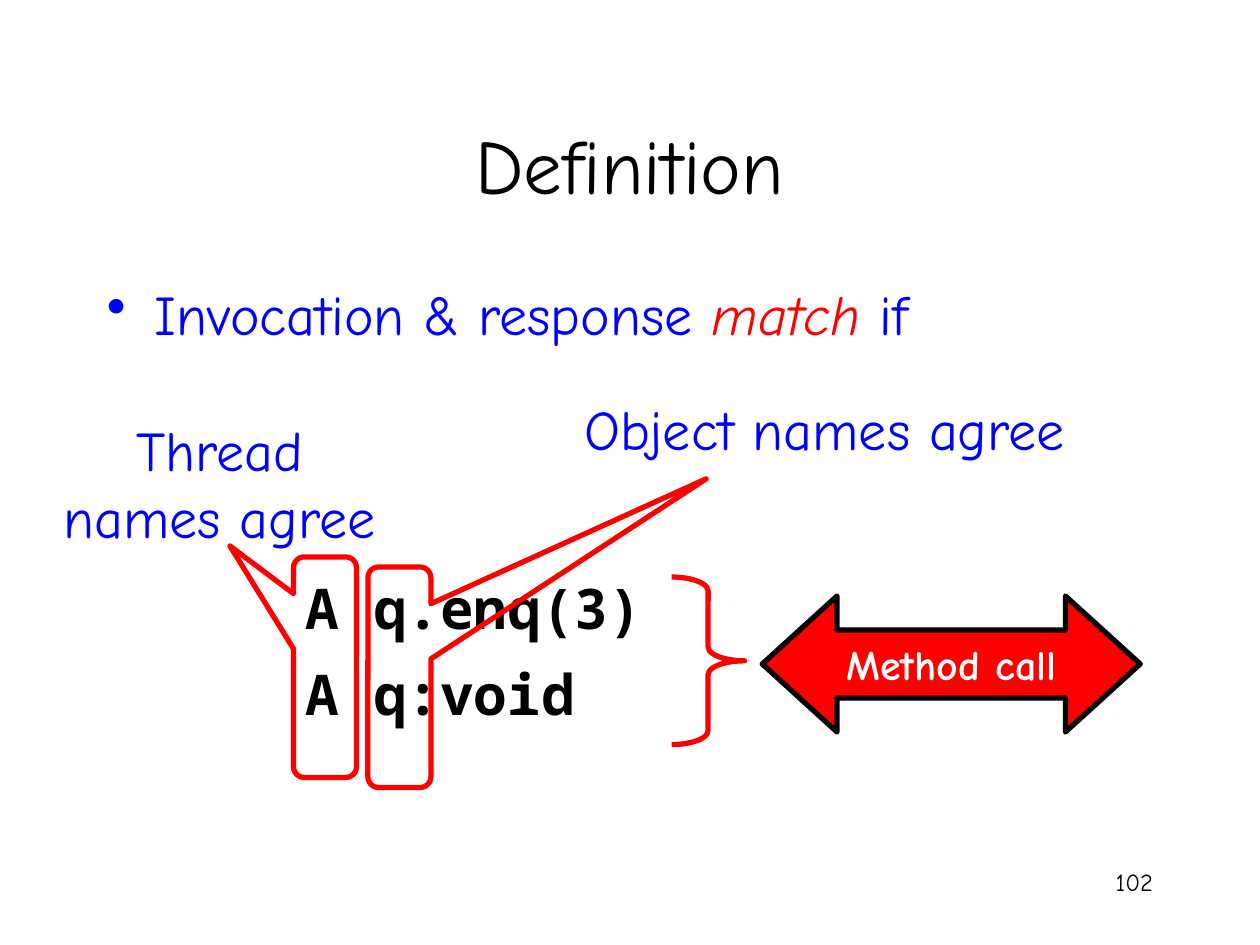
from dataclasses import dataclass

import pptx
import pptx.dml.color
import pptx.enum.shapes
import pptx.enum.text
import pptx.oxml
import pptx.oxml.ns
import pptx.util

Inches, Pt = pptx.util.Inches, pptx.util.Pt
ALIGN = pptx.enum.text.PP_ALIGN
ANCHOR = pptx.enum.text.MSO_ANCHOR
SHAPE = pptx.enum.shapes.MSO_SHAPE

COLORS = {"black": "000000", "blue": "0000FF", "red": "FF0000", "white": "FFFFFF"}
HAND, MONO = "Comic Neue", "Noto Sans Mono"


@dataclass(frozen=True)
class Box:
    left: float
    top: float
    width: float
    height: float

    def lengths(self) -> list:
        return [Inches(v) for v in (self.left, self.top, self.width, self.height)]


@dataclass(frozen=True)
class Span:
    text: str
    color: str = "blue"
    size: int = 32
    font: str = HAND
    bold: bool = False
    italic: bool = False


@dataclass(frozen=True)
class Label:
    box: Box
    lines: tuple[tuple[Span, ...], ...]
    align: ALIGN = ALIGN.LEFT
    anchor: ANCHOR = ANCHOR.TOP
    margin: float = 0
    indent: float = 0
    bullet: str = ""
    gap: int = 0


@dataclass(frozen=True)
class Outline:
    kind: SHAPE
    box: Box
    adjustments: tuple[float, ...]
    line: str = "red"
    fill: str = ""


def rgb(name: str) -> pptx.dml.color.RGBColor:
    return pptx.dml.color.RGBColor.from_string(COLORS[name])


def add_span(paragraph, span: Span) -> None:
    run = paragraph.add_run()
    run.text = span.text
    run.font.name, run.font.size = span.font, Pt(span.size)
    run.font.bold, run.font.italic = span.bold, span.italic
    run.font.color.rgb = rgb(span.color)


def add_label(slide, label: Label) -> None:
    frame = slide.shapes.add_textbox(*label.box.lengths()).text_frame
    frame.word_wrap = True
    frame.vertical_anchor = label.anchor
    for index, spans in enumerate(label.lines):
        paragraph = frame.add_paragraph() if index else frame.paragraphs[0]
        paragraph.alignment = label.align
        properties = paragraph._p.get_or_add_pPr()
        properties.set("marL", str(Inches(label.margin)))
        properties.set("indent", str(Inches(label.indent)))
        if label.bullet:
            properties.append(pptx.oxml.parse_xml(
                f'<a:buChar {pptx.oxml.ns.nsdecls("a")} char="{label.bullet}"/>'))
        if index:
            paragraph.space_before = Pt(label.gap)
        for span in spans:
            add_span(paragraph, span)


def add_outline(slide, outline: Outline):
    shape = slide.shapes.add_shape(outline.kind, *outline.box.lengths())
    shape.shadow.inherit = False
    for index, value in enumerate(outline.adjustments):
        shape.adjustments[index] = value
    if outline.fill:
        shape.fill.solid()
        shape.fill.fore_color.rgb = rgb(outline.fill)
    else:
        shape.fill.background()
    shape.line.color.rgb = rgb(outline.line)
    shape.line.width = Pt(3)
    return shape


def code(text: str) -> tuple[Span, ...]:
    return (Span(text, "black", font=MONO, bold=True),)


PAGE_NUMBER = Label(Box(7.17, 6.83, 2.08, 0.5), ((Span("102", "black", 14),),), ALIGN.RIGHT)
TITLE = Label(Box(0.75, 0.67, 8.5, 1.25), ((Span("Definition", "black", 44),),),
              ALIGN.CENTER, ANCHOR.MIDDLE)
RULE = Label(Box(0.75, 2.17, 8.5, 4.5),
             ((Span("Invocation & response "), Span("match", "red", italic=True), Span(" if")),),
             margin=0.38, indent=-0.38, bullet="•")
HISTORY = Label(Box(2.33, 4.5, 5, 1.43), (code("A q.enq(3)"), code("A q:void")), gap=11)
THREAD_NOTE = Label(Box(0.33, 3.25, 2.83, 1.17), ((Span("Thread names agree"),),), ALIGN.CENTER)
OBJECT_NOTE = Label(Box(3.92, 3.08, 4.75, 1.17), ((Span("Object names agree"),),),
                    ALIGN.CENTER, margin=0.5)

CALL_BRACE = Outline(SHAPE.RIGHT_BRACE, Box(5.33, 4.58, 0.58, 1.33), (0.19, 0.5))
THREAD_CALLOUT = Outline(SHAPE.ROUNDED_RECTANGULAR_CALLOUT, Box(2.33, 4.42, 0.5, 1.75),
                         (-1.51, -0.55, 0.17))
OBJECT_CALLOUT = Outline(SHAPE.ROUNDED_RECTANGULAR_CALLOUT, Box(2.92, 4.5, 0.5, 1.75),
                         (4.87, -0.9, 0.17))
CALL_ARROW = Outline(SHAPE.LEFT_RIGHT_ARROW, Box(6.05, 4.73, 3, 1.08), (0.5, 0.55),
                     "black", "red")


def main() -> None:
    deck = pptx.Presentation()
    deck.slide_width, deck.slide_height = Inches(10), Inches(7.5)
    slide = deck.slides.add_slide(deck.slide_layouts[6])

    for label in (PAGE_NUMBER, TITLE, RULE, HISTORY):
        add_label(slide, label)
    for outline in (CALL_BRACE, THREAD_CALLOUT, OBJECT_CALLOUT):
        add_outline(slide, outline)
    for label in (THREAD_NOTE, OBJECT_NOTE):
        add_label(slide, label)

    call_text = add_outline(slide, CALL_ARROW).text_frame
    call_text.word_wrap = False
    call_text.vertical_anchor = ANCHOR.MIDDLE
    call_text.paragraphs[0].alignment = ALIGN.CENTER
    add_span(call_text.paragraphs[0], Span("Method call", "white", 24, bold=True))

    deck.save("out.pptx")


if __name__ == "__main__":
    main()
